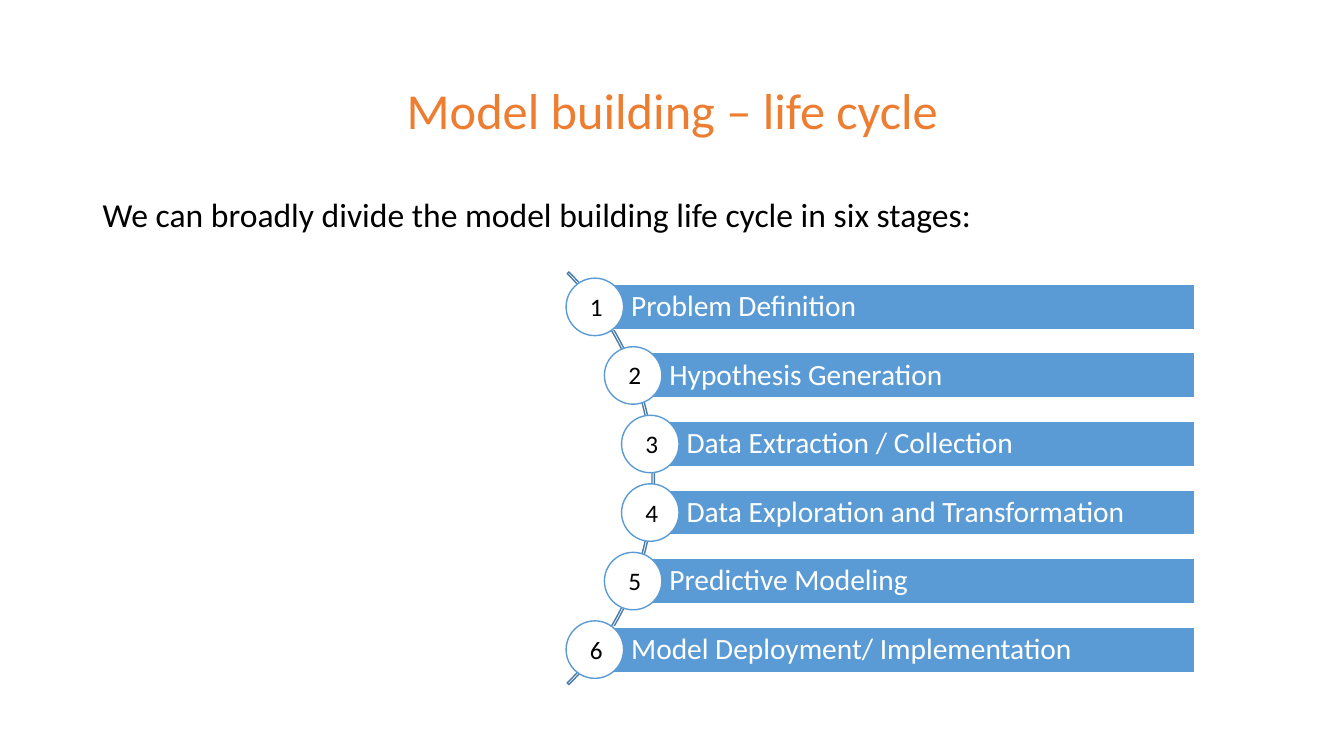
from dataclasses import dataclass

import pptx
import pptx.dml.color
import pptx.enum.shapes
import pptx.enum.text
import pptx.util

Inches = pptx.util.Inches
Shapes = pptx.enum.shapes.MSO_SHAPE
Align = pptx.enum.text.PP_ALIGN
Anchor = pptx.enum.text.MSO_ANCHOR

COLOURS = {
    "title": "ED7D31",
    "bar": "5B9BD5",
    "arc": "497CAB",
    "white": "FFFFFF",
    "black": "000000",
}
BAR_RIGHT = 11.85
BAR_HEIGHT = 0.45
FIRST_BAR_TOP = 2.82
STAGE_PITCH = 0.68
CIRCLE_SIZE = 0.57
NUMBER_WIDTH = 0.33
NUMBER_HEIGHT = 0.42


@dataclass
class Stage:
    label: str
    left: float


@dataclass
class TextStyle:
    size: float
    colour: str
    align: Align = Align.LEFT
    spacing: float = 1.0
    before: float = 0


STAGES = [
    Stage("Problem Definition", 5.9),
    Stage("Hypothesis Generation", 6.28),
    Stage("Data Extraction / Collection", 6.45),
    Stage("Data Exploration and Transformation", 6.45),
    Stage("Predictive Modeling", 6.28),
    Stage("Model Deployment/ Implementation", 5.9),
]
TITLE_STYLE = TextStyle(36, "title", Align.CENTER, 0.9)
INTRO_STYLE = TextStyle(24, "black", spacing=1.5, before=10)
LABEL_STYLE = TextStyle(21, "white", spacing=0.9)
NUMBER_STYLE = TextStyle(18, "black", Align.CENTER)


def colour(name: str) -> pptx.dml.color.RGBColor:
    return pptx.dml.color.RGBColor.from_string(COLOURS[name])


def set_attributes(target, values: dict) -> None:
    for name, value in values.items():
        setattr(target, name, value)


def write(box, text: str, style: TextStyle, frame_format: dict) -> None:
    frame = box.text_frame
    set_attributes(frame, {"word_wrap": True, **frame_format})
    para = frame.paragraphs[0]
    set_attributes(para, {
        "alignment": style.align,
        "line_spacing": style.spacing,
        "space_before": pptx.util.Pt(style.before),
    })
    span = para.add_run()
    span.text = text
    set_attributes(span.font, {"name": "Calibri", "size": pptx.util.Pt(style.size)})
    span.font.color.rgb = colour(style.colour)


def add_figure(page, kind: Shapes, place: tuple, fill: str | None, line: str):
    figure = page.shapes.add_shape(kind, *map(Inches, place))
    figure.shadow.inherit = False
    if fill:
        figure.fill.solid()
        figure.fill.fore_color.rgb = colour(fill)
    else:
        figure.fill.background()
    figure.line.color.rgb = colour(line)
    figure.line.width = pptx.util.Pt(1)
    return figure


def add_text(page, place: tuple, text: str, style: TextStyle) -> None:
    box = page.shapes.add_textbox(*map(Inches, place))
    write(box, text, style, {"vertical_anchor": Anchor.TOP})


def add_title(page, text: str) -> None:
    title = page.shapes.title
    set_attributes(title, {
        "left": Inches(0.92),
        "top": Inches(0.4),
        "width": Inches(11.5),
        "height": Inches(1.45),
    })
    write(title, text, TITLE_STYLE, {"vertical_anchor": Anchor.MIDDLE})


def add_arc(page) -> None:
    arc = add_figure(page, Shapes.BLOCK_ARC, (0.7, 1.85, 5.79, 5.79), None, "arc")
    for index, value in enumerate((189, 27, 0.004)):
        arc.adjustments[index] = value


def add_stage(page, index: int, stage: Stage) -> None:
    top = FIRST_BAR_TOP + index * STAGE_PITCH
    middle = top + BAR_HEIGHT / 2
    bar_place = (stage.left, top, BAR_RIGHT - stage.left, BAR_HEIGHT)
    bar = add_figure(page, Shapes.RECTANGLE, bar_place, "bar", "white")
    write(bar, stage.label, LABEL_STYLE, {
        "vertical_anchor": Anchor.MIDDLE,
        "margin_left": Inches(0.36),
        "margin_right": Inches(0.06),
        "margin_top": Inches(0.06),
        "margin_bottom": Inches(0.06),
    })
    radius = CIRCLE_SIZE / 2
    circle_place = (stage.left - radius, middle - radius, CIRCLE_SIZE, CIRCLE_SIZE)
    add_figure(page, Shapes.OVAL, circle_place, "white", "bar")
    number_place = (stage.left - 0.15, top + 0.02, NUMBER_WIDTH, NUMBER_HEIGHT)
    add_text(page, number_place, str(index + 1), NUMBER_STYLE)


def main() -> None:
    deck = pptx.Presentation()
    set_attributes(deck, {"slide_width": Inches(13.33), "slide_height": Inches(7.5)})
    page = deck.slides.add_slide(deck.slide_layouts.get_by_name("Title Only"))
    add_title(page, "Model building – life cycle")
    add_arc(page)
    for index, stage in enumerate(STAGES):
        add_stage(page, index, stage)
    intro = "We can broadly divide the model building life cycle in six stages:"
    add_text(page, (0.92, 1.67, 11.5, 0.68), intro, INTRO_STYLE)
    deck.save("out.pptx")


if __name__ == "__main__":
    main()
